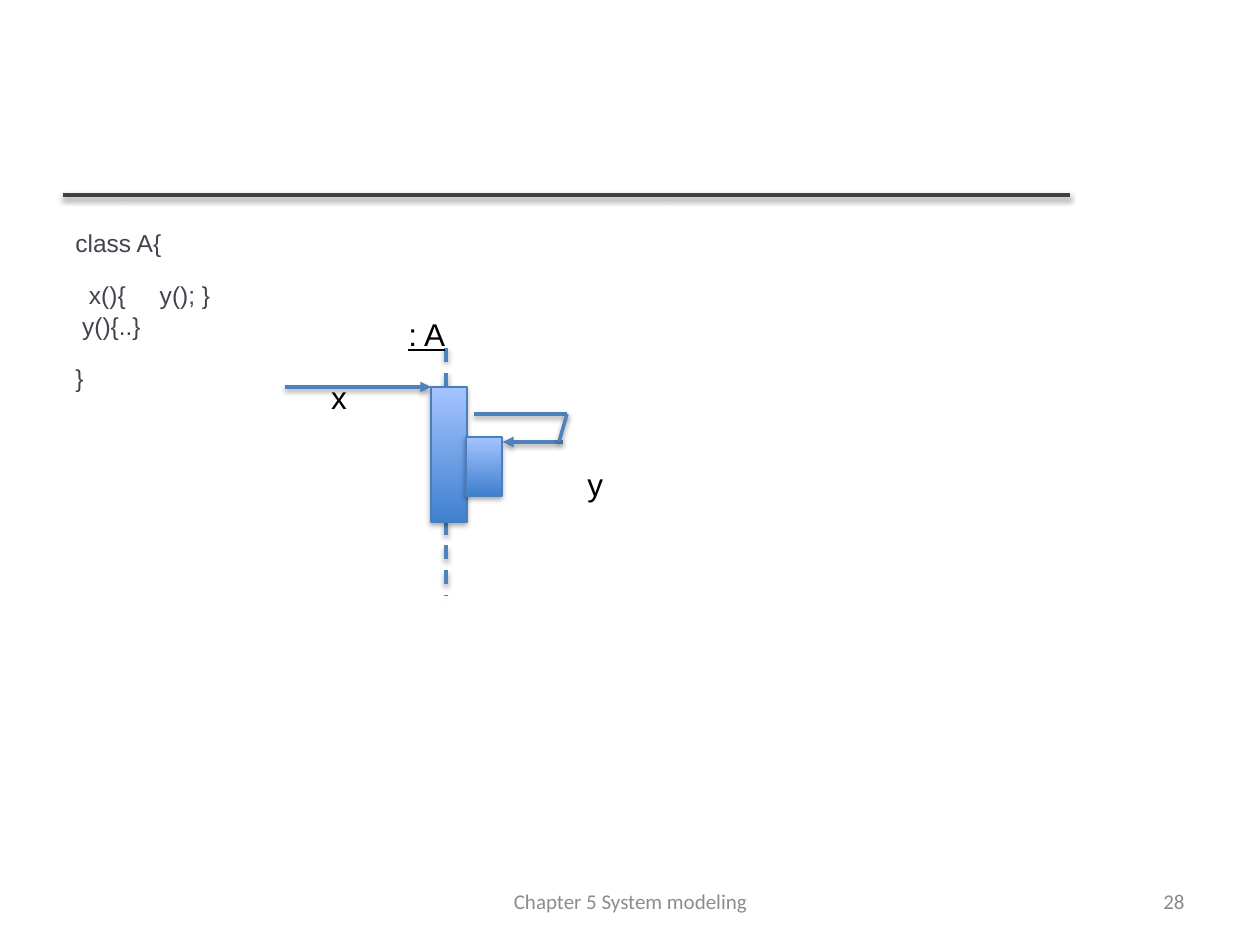
from dataclasses import dataclass

from lxml.etree import SubElement
from pptx import Presentation
from pptx.dml.color import RGBColor
from pptx.enum.dml import MSO_LINE
from pptx.enum.shapes import MSO_CONNECTOR, MSO_SHAPE
from pptx.enum.text import MSO_ANCHOR, PP_ALIGN
from pptx.oxml import parse_xml
from pptx.oxml.ns import nsdecls, qn
from pptx.util import Pt

EMU_PER_PX = 914400 / 126


@dataclass(frozen=True)
class Theme:
    body_font: str = "Arial"
    footer_font: str = "Calibri"
    code_size: int = 14
    label_size: int = 18
    footer_size: int = 12
    code: str = "46424D"
    label: str = "000000"
    footer: str = "8C8C8C"
    page: str = "898989"
    rule: str = "404040"
    message: str = "4F81BD"
    bar_edge: str = "4B7EBC"
    bar_bottom: str = "3F80CE"
    bar_top: str = "A4C4FF"
    line_width: float = 2
    edge_width: float = 0.75
    line_shadow: int = 38
    bar_shadow: int = 35


THEME = Theme()

SLIDE_SIZE = (1260, 945)
TITLE_RULE = (63, 195, 1070, 195)

CODE = ["class A{", "  x(){     y(); }\v y(){..}", "}"]
CODE_BOX = (63, 220, 1134, 624)

FOOTERS = [
    ("Chapter 5 System modeling", (431, 876, 399, 50), PP_ALIGN.CENTER, THEME.footer),
    ("28", (903, 876, 294, 50), PP_ALIGN.RIGHT, THEME.page),
]

LIFELINE = (446, 348, 446, 595)
OBJECT_NAME = (": A", (396, 309, 156, 50))
CALL_X = (285, 387, 431, 387)
CALL_X_NAME = ("x", (331, 372, 16, 50))
CALL_Y_NAME = ("y", (575, 459, 42, 50))
ACTIVATION_X = (431, 387, 36, 135)
ACTIVATION_Y = (466, 437, 36, 59)
# Self-call loop: out, down and back into the nested activation
SELF_CALL_OUT = (474, 414, 567, 414)
SELF_CALL_DOWN = (567, 414, 559, 442)
SELF_CALL_BACK = (563, 442, 503, 442)


def px(*lengths):
    return [round(length * EMU_PER_PX) for length in lengths]


def rgb(code):
    return RGBColor.from_string(code)


def add_shadow(shape, opacity):
    """Drop a soft black shadow straight down; call after fill and line are set."""
    shape._element.spPr.append(parse_xml(
        f'<a:effectLst {nsdecls("a")}>'
        f'<a:outerShdw blurRad="{Pt(3.1)}" dist="{Pt(1.7)}" dir="5400000" rotWithShape="0">'
        f'<a:srgbClr val="000000"><a:alpha val="{opacity * 1000}"/></a:srgbClr>'
        '</a:outerShdw></a:effectLst>'))


def add_line(slide, ends, color=THEME.message, arrow=False, dashed=False):
    connector = slide.shapes.add_connector(MSO_CONNECTOR.STRAIGHT, *px(*ends))
    connector.line.color.rgb = rgb(color)
    connector.line.width = Pt(THEME.line_width)
    if dashed:
        connector.line.dash_style = MSO_LINE.DASH
    if arrow:
        SubElement(connector.line._get_or_add_ln(), qn("a:tailEnd"), type="triangle")
    add_shadow(connector, THEME.line_shadow)


def add_activation(slide, box):
    bar = slide.shapes.add_shape(MSO_SHAPE.RECTANGLE, *px(*box))
    bar.fill.gradient()
    bar.fill.gradient_angle = 90
    for stop, color in zip(bar.fill.gradient_stops, (THEME.bar_bottom, THEME.bar_top)):
        stop.color.rgb = rgb(color)
    bar.line.color.rgb = rgb(THEME.bar_edge)
    bar.line.width = Pt(THEME.edge_width)
    add_shadow(bar, THEME.bar_shadow)


def add_text(slide, lines, box, font, size, color, align=PP_ALIGN.LEFT):
    frame = slide.shapes.add_textbox(*px(*box)).text_frame
    frame.word_wrap = True
    frame.text = "\n".join(lines)
    for paragraph in frame.paragraphs:
        paragraph.alignment = align
        for run in paragraph.runs:
            run.font.name = font
            run.font.size = Pt(size)
            run.font.color.rgb = rgb(color)
    return frame


def add_label(slide, label):
    name, box = label
    return add_text(slide, [name], box, THEME.body_font, THEME.label_size, THEME.label)


def add_code(slide):
    frame = add_text(slide, CODE, CODE_BOX, THEME.body_font, THEME.code_size, THEME.code)
    for index, paragraph in enumerate(frame.paragraphs):
        paragraph.line_spacing = 1.06
        paragraph.space_before = Pt(6 if index else 0)
        paragraph.space_after = Pt(6)


def add_sequence(slide):
    add_line(slide, LIFELINE, dashed=True)
    object_name = add_label(slide, OBJECT_NAME)
    object_name.paragraphs[0].runs[0].font.underline = True
    add_line(slide, CALL_X, arrow=True)
    add_activation(slide, ACTIVATION_X)
    add_line(slide, SELF_CALL_BACK, arrow=True)
    add_line(slide, SELF_CALL_OUT)
    add_line(slide, SELF_CALL_DOWN)
    call_x_name = add_label(slide, CALL_X_NAME)
    call_x_name.margin_left = call_x_name.margin_right = 0
    call_x_name.word_wrap = False
    add_label(slide, CALL_Y_NAME).word_wrap = False
    add_activation(slide, ACTIVATION_Y)


def main():
    presentation = Presentation()
    presentation.slide_width, presentation.slide_height = px(*SLIDE_SIZE)
    slide = presentation.slides.add_slide(presentation.slide_layouts[6])
    add_line(slide, TITLE_RULE, THEME.rule)
    add_code(slide)
    for words, box, align, color in FOOTERS:
        footer = add_text(slide, [words], box, THEME.footer_font,
                          THEME.footer_size, color, align)
        footer.vertical_anchor = MSO_ANCHOR.MIDDLE
    add_sequence(slide)
    presentation.save("out.pptx")


if __name__ == "__main__":
    main()
